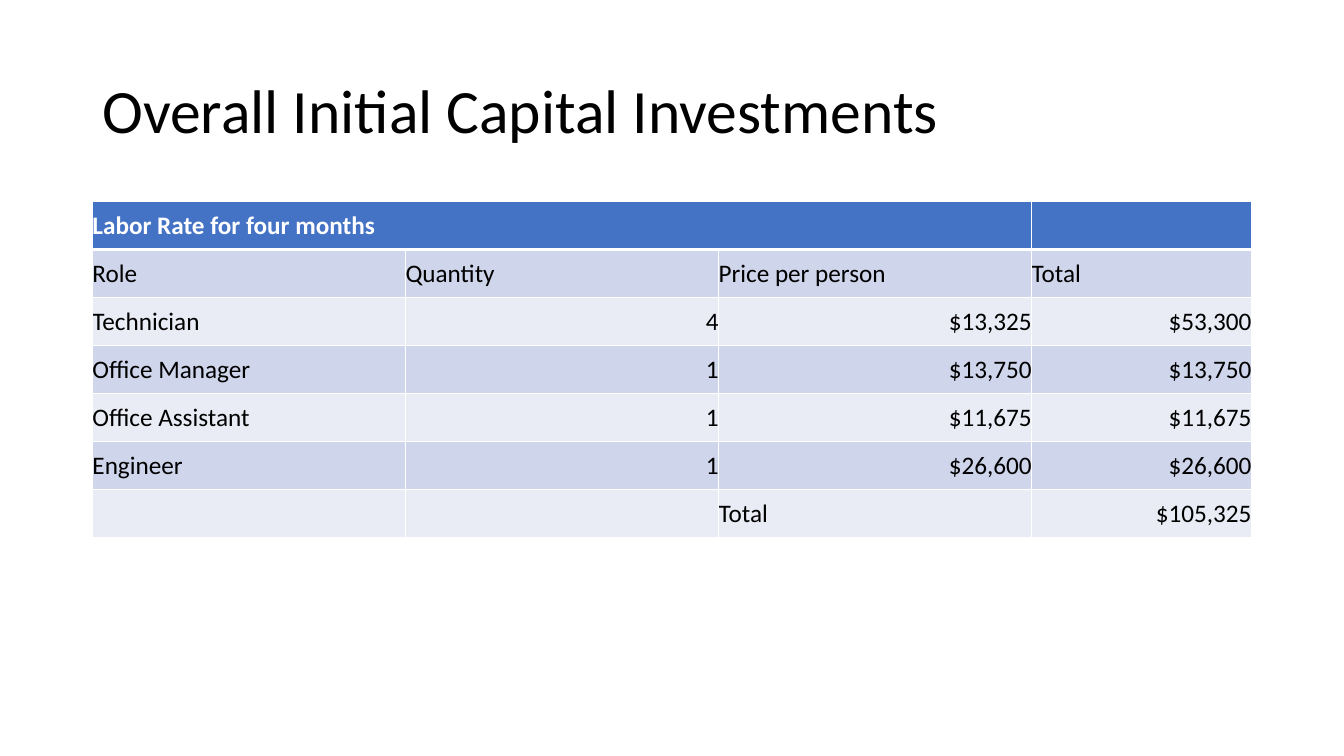
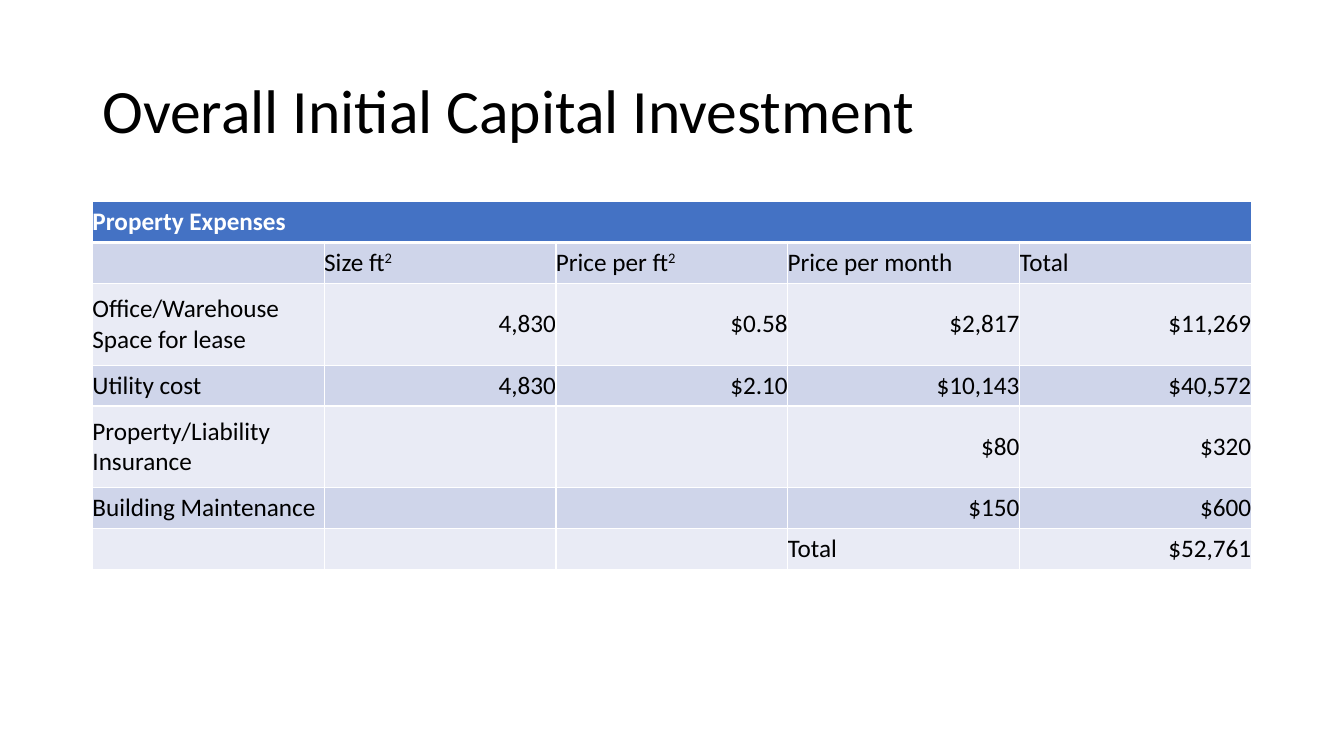
import pptx
import pptx.dml.color
import pptx.enum.text
import pptx.oxml.ns
import pptx.util
from lxml import etree

Cm, Pt = pptx.util.Cm, pptx.util.Pt
RGBColor = pptx.dml.color.RGBColor
MSO_ANCHOR, PP_ALIGN = pptx.enum.text.MSO_ANCHOR, pptx.enum.text.PP_ALIGN
qn = pptx.oxml.ns.qn

SLIDES = [
    {
        "title": "Overall Initial Capital Investments",
        "header_span": 3,
        "col_widths": [7.89, 7.89, 7.89, 5.54],
        "line_height": 1.21,
        "row_lines": [1, 1, 1, 1, 1, 1, 1],
        "rows": [
            ["Labor Rate for four months", "", "", ""],
            ["Role", "Quantity", "Price per person", "Total"],
            ["Technician", "4", "$13,325", "$53,300"],
            ["Office Manager", "1", "$13,750", "$13,750"],
            ["Office Assistant", "1", "$11,675", "$11,675"],
            ["Engineer", "1", "$26,600", "$26,600"],
            ["", "", "Total", "$105,325"],
        ],
    },
    {
        "title": "Overall Initial Capital Investment",
        "header_span": 5,
        "col_widths": [5.84] * 5,
        "line_height": 1.03,
        "row_lines": [1, 1, 2, 1, 2, 1, 1],
        "rows": [
            ["Property Expenses", "", "", "", ""],
            ["", "Size ft^2", "Price per ft^2", "Price per month", "Total"],
            ["Office/Warehouse Space for lease", "4,830", "$0.58", "$2,817", "$11,269"],
            ["Utility cost", "4,830", "$2.10", "$10,143", "$40,572"],
            ["Property/Liability Insurance", "", "", "$80", "$320"],
            ["Building Maintenance", "", "", "$150", "$600"],
            ["", "", "", "Total", "$52,761"],
        ],
    },
]

FONT = "Calibri"
BLACK = RGBColor(0x00, 0x00, 0x00)
WHITE = RGBColor(0xFF, 0xFF, 0xFF)
HEADER_BLUE = RGBColor(0x44, 0x72, 0xC4)
BANDS = [RGBColor(0xE9, 0xEB, 0xF5), RGBColor(0xCF, 0xD5, 0xEA)]

LEFT, WIDTH = Cm(2.33), Cm(29.21)
TITLE_TOP, TITLE_HEIGHT = Cm(1.01), Cm(3.68)
TABLE_TOP = Cm(5.08)
RULE, HEADER_RULE = Pt(1), Pt(3)


def style_run(r, size, color, bold=False):
    r.font.name = FONT
    r.font.size = Pt(size)
    r.font.color.rgb = color
    r.font.bold = bold


def add_title(s, text):
    tf = s.shapes.add_textbox(LEFT, TITLE_TOP, WIDTH, TITLE_HEIGHT).text_frame
    tf.word_wrap = True
    tf.vertical_anchor = MSO_ANCHOR.MIDDLE
    tf.text = text
    p = tf.paragraphs[0]
    p.line_spacing = 0.9
    style_run(p.runs[0], 44, BLACK)


def set_borders(cell, row):
    tcPr = cell._tc.get_or_add_tcPr()
    widths = {
        "a:lnL": RULE,
        "a:lnR": RULE,
        "a:lnT": HEADER_RULE if row == 1 else RULE,
        "a:lnB": HEADER_RULE if row == 0 else RULE,
    }
    for tag, width in widths.items():
        ln = etree.SubElement(tcPr, qn(tag), w=str(width))
        fill = etree.SubElement(ln, qn("a:solidFill"))
        etree.SubElement(fill, qn("a:srgbClr"), val=str(WHITE))


def fill_cell(cell, row, text):
    set_borders(cell, row)
    cell.fill.solid()
    cell.fill.fore_color.rgb = BANDS[row % 2] if row else HEADER_BLUE
    cell.margin_left = cell.margin_right = cell.margin_top = cell.margin_bottom = 0
    cell.vertical_anchor = MSO_ANCHOR.MIDDLE
    if not text:
        return
    base, _, superscript = text.partition("^")
    p = cell.text_frame.paragraphs[0]
    p.text = base
    if superscript:
        r = p.add_run()
        r.text = superscript
        r.font._element.set("baseline", "30000")
    if text[0] == "$" or text[0].isdigit():
        p.alignment = PP_ALIGN.RIGHT
    for r in p.runs:
        style_run(r, 18, BLACK if row else WHITE, bold=row == 0)


def add_cost_table(s, spec_data):
    rows, widths = spec_data["rows"], spec_data["col_widths"]
    heights = [Cm(n * spec_data["line_height"]) for n in spec_data["row_lines"]]
    table = s.shapes.add_table(
        len(rows), len(widths), LEFT, TABLE_TOP, WIDTH, sum(heights)
    ).table
    for column, width in zip(table.columns, widths):
        column.width = Cm(width)
    for table_row, height in zip(table.rows, heights):
        table_row.height = height
    for i, values in enumerate(rows):
        for j, text in enumerate(values):
            fill_cell(table.cell(i, j), i, text)
    table.cell(0, 0).merge(table.cell(0, spec_data["header_span"] - 1))


def main():
    prs = pptx.Presentation()
    prs.slide_width, prs.slide_height = Cm(33.87), Cm(19.05)
    for slide_data in SLIDES:
        s = prs.slides.add_slide(prs.slide_layouts[6])
        add_title(s, slide_data["title"])
        add_cost_table(s, slide_data)
    prs.save("out.pptx")


if __name__ == "__main__":
    main()
